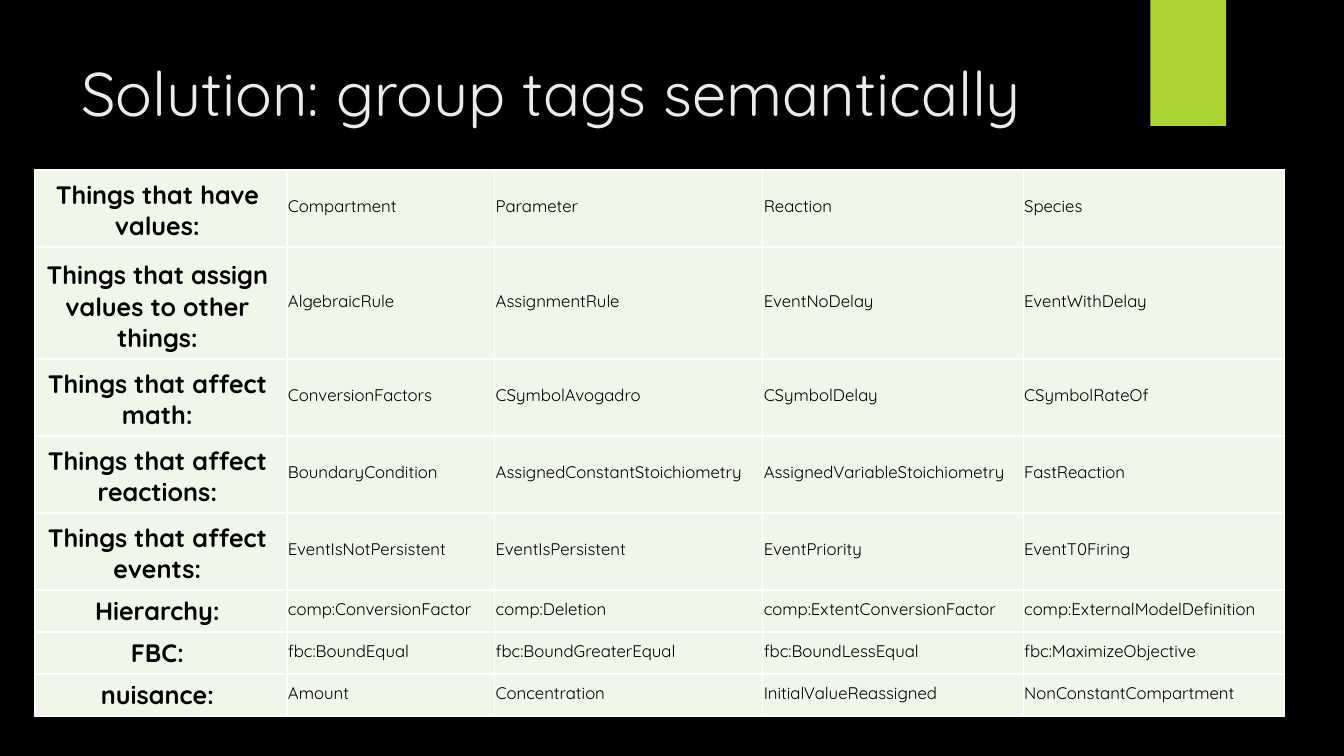
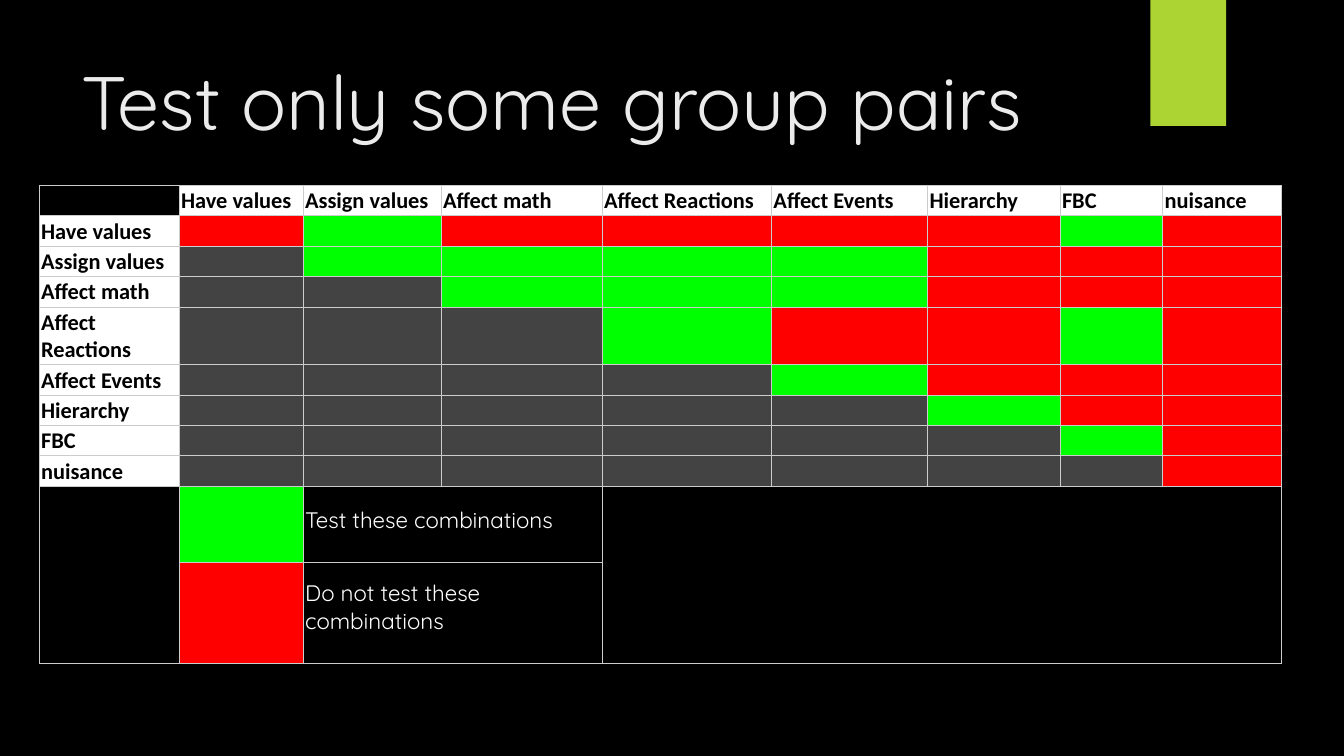
"""Build two slides on grouping test tags and choosing the group pairs to test."""
from lxml.etree import SubElement
from pptx import Presentation
from pptx.dml.color import RGBColor
from pptx.enum.shapes import MSO_SHAPE as Shape
from pptx.enum.text import MSO_ANCHOR as Anchor, PP_ALIGN as Align
from pptx.oxml.ns import qn
from pptx.util import Pt

BLACK, WHITE, TITLE_GRAY = "000000", "FFFFFF", "EBEBEB"
ACCENT, PALE_GREEN, BORDER_GRAY = "ACD433", "F1F7E8", "CCCCCC"
TEST, SKIP, MIRRORED = "00FF00", "FF0000", "434343"
THEME_FONT, GRID_FONT = "Quicksand", "Calibri"

TAG_GROUPS = [
    ("Things that have values:", "Compartment", "Parameter", "Reaction", "Species"),
    ("Things that assign values to other things:",
     "AlgebraicRule", "AssignmentRule", "EventNoDelay", "EventWithDelay"),
    ("Things that affect math:",
     "ConversionFactors", "CSymbolAvogadro", "CSymbolDelay", "CSymbolRateOf"),
    ("Things that affect reactions:", "BoundaryCondition", "AssignedConstantStoichiometry",
     "AssignedVariableStoichiometry", "FastReaction"),
    ("Things that affect events:",
     "EventIsNotPersistent", "EventIsPersistent", "EventPriority", "EventT0Firing"),
    ("Hierarchy:", "comp:ConversionFactor", "comp:Deletion",
     "comp:ExtentConversionFactor", "comp:ExternalModelDefinition"),
    ("FBC:", "fbc:BoundEqual", "fbc:BoundGreaterEqual",
     "fbc:BoundLessEqual", "fbc:MaximizeObjective"),
    ("nuisance:", "Amount", "Concentration",
     "InitialValueReassigned", "NonConstantCompartment"),
]
TAG_COLUMNS = [180, 148.4, 191.5, 186, 186.4]
TAG_ROWS = [55, 80, 55, 55, 55, 30, 30, 30]

GROUPS = ["Have values", "Assign values", "Affect math", "Affect Reactions",
          "Affect Events", "Hierarchy", "FBC", "nuisance"]
TESTED_PAIRS = {
    "Have values": ["Assign values", "FBC"],
    "Assign values": ["Assign values", "Affect math", "Affect Reactions", "Affect Events"],
    "Affect math": ["Affect math", "Affect Reactions", "Affect Events"],
    "Affect Reactions": ["Affect Reactions", "FBC"],
    "Affect Events": ["Affect Events"],
    "Hierarchy": ["Hierarchy"],
    "FBC": ["FBC"],
    "nuisance": [],
}
LEGEND = [(TEST, "Test these combinations"), (SKIP, "Do not test these combinations")]
PAIR_COLUMNS = [100, 88.6, 98.6, 115, 121, 111.5, 94.6, 73.4, 85]
PAIR_ROWS = [21.75] * 4 + [41.2] + [21.75] * 4 + [54.5, 72]


def color(value):
    """Turn a hex string into a colour."""
    return RGBColor.from_string(value)


def put_text(frame, text, *, size, font=THEME_FONT, fill=BLACK, bold=False, align=Align.LEFT):
    """Write one formatted paragraph into a text frame."""
    paragraph = frame.paragraphs[0]
    paragraph.alignment = align
    run = paragraph.add_run()
    run.text = text
    run.font.size, run.font.name, run.font.bold = Pt(size), font, bold
    run.font.color.rgb = color(fill)


def add_base_slide(presentation, title, title_size):
    """Add a black slide with its title and accent tab."""
    slide = presentation.slides.add_slide(presentation.slide_layouts[6])
    slide.background.fill.solid()
    slide.background.fill.fore_color.rgb = color(BLACK)
    tab = slide.shapes.add_shape(Shape.RECTANGLE, Pt(821.8), Pt(0), Pt(54), Pt(90))
    tab.shadow.inherit = False
    tab.fill.solid()
    tab.fill.fore_color.rgb = color(ACCENT)
    tab.line.fill.background()
    box = slide.shapes.add_textbox(Pt(51), Pt(36), Pt(741), Pt(110))
    box.text_frame.word_wrap = True
    put_text(box.text_frame, title, size=title_size, fill=TITLE_GRAY)
    return slide


def add_grid(slide, left, top, columns, rows, border, border_width):
    """Add a table with unfilled, evenly bordered cells."""
    table = slide.shapes.add_table(len(rows), len(columns), Pt(left), Pt(top),
                                   Pt(sum(columns)), Pt(sum(rows))).table
    table.first_row = table.horz_banding = False
    for column, width in zip(table.columns, columns):
        column.width = Pt(width)
    for row, height in zip(table.rows, rows):
        row.height = Pt(height)
    for cell in table.iter_cells():
        properties = cell._tc.get_or_add_tcPr()
        for edge in ("a:lnL", "a:lnR", "a:lnT", "a:lnB"):
            line = SubElement(properties, qn(edge), w=str(Pt(border_width)))
            SubElement(SubElement(line, qn("a:solidFill")), qn("a:srgbClr"), val=border)
        cell.fill.background()
    return table


def set_cell(cell, text="", *, fill=None, margins=(1.4, 0.7, 1.4, 0.7),
             anchor=Anchor.BOTTOM, **text_format):
    """Set the fill, margins and text of a cell."""
    cell.margin_left, cell.margin_top, cell.margin_right, cell.margin_bottom = map(Pt, margins)
    cell.vertical_anchor = anchor
    if fill:
        cell.fill.solid()
        cell.fill.fore_color.rgb = color(fill)
    if text:
        put_text(cell.text_frame, text, **text_format)
    else:
        SubElement(cell.text_frame.paragraphs[0]._p, qn("a:endParaRPr"), sz="1000")


def add_tag_slide(presentation):
    """Add the slide that lists tags by group."""
    slide = add_base_slide(presentation, "Solution: group tags semantically", 44)
    table = add_grid(slide, 25, 121.5, TAG_COLUMNS, TAG_ROWS, WHITE, 1)
    for row, (group, *tags) in enumerate(TAG_GROUPS):
        set_cell(table.cell(row, 0), group, fill=PALE_GREEN, margins=(0.7, 0.7, 5.8, 3.6),
                 size=18, bold=True, align=Align.CENTER)
        for column, tag in enumerate(tags, 1):
            set_cell(table.cell(row, column), tag, fill=PALE_GREEN,
                     margins=(0.7, 0.7, 0.7, 3.6), anchor=Anchor.MIDDLE, size=12)


def add_pair_slide(presentation):
    """Add the slide that shows which group pairs are tested."""
    slide = add_base_slide(presentation, "Test only some group pairs", 54)
    table = add_grid(slide, 28, 132.3, PAIR_COLUMNS, PAIR_ROWS, BORDER_GRAY, 0.75)
    set_cell(table.cell(0, 0))
    for row, group in enumerate(GROUPS, 1):
        for header in (table.cell(row, 0), table.cell(0, row)):
            set_cell(header, group, fill=WHITE, size=16, font=GRID_FONT, bold=True)
        for column, other in enumerate(GROUPS, 1):
            tested = TEST if other in TESTED_PAIRS[group] else SKIP
            set_cell(table.cell(row, column), fill=MIRRORED if column < row else tested)
    first, last = len(GROUPS) + 1, len(PAIR_ROWS) - 1
    table.cell(first, 0).merge(table.cell(last, 0))
    table.cell(first, 4).merge(table.cell(last, len(GROUPS)))
    for row, (fill, label) in enumerate(LEGEND, first):
        set_cell(table.cell(row, 1), fill=fill)
        table.cell(row, 2).merge(table.cell(row, 3))
        set_cell(table.cell(row, 2), label, margins=(1.4, 0.7, 1.4, 20.5), size=16, fill=None)
        table.cell(row, 2).text_frame.paragraphs[0].runs[0].font.color.rgb = color(WHITE)


def main():
    """Build and save the presentation."""
    presentation = Presentation()
    presentation.slide_width, presentation.slide_height = Pt(960), Pt(540)
    add_tag_slide(presentation)
    add_pair_slide(presentation)
    presentation.save("out.pptx")


if __name__ == "__main__":
    main()
